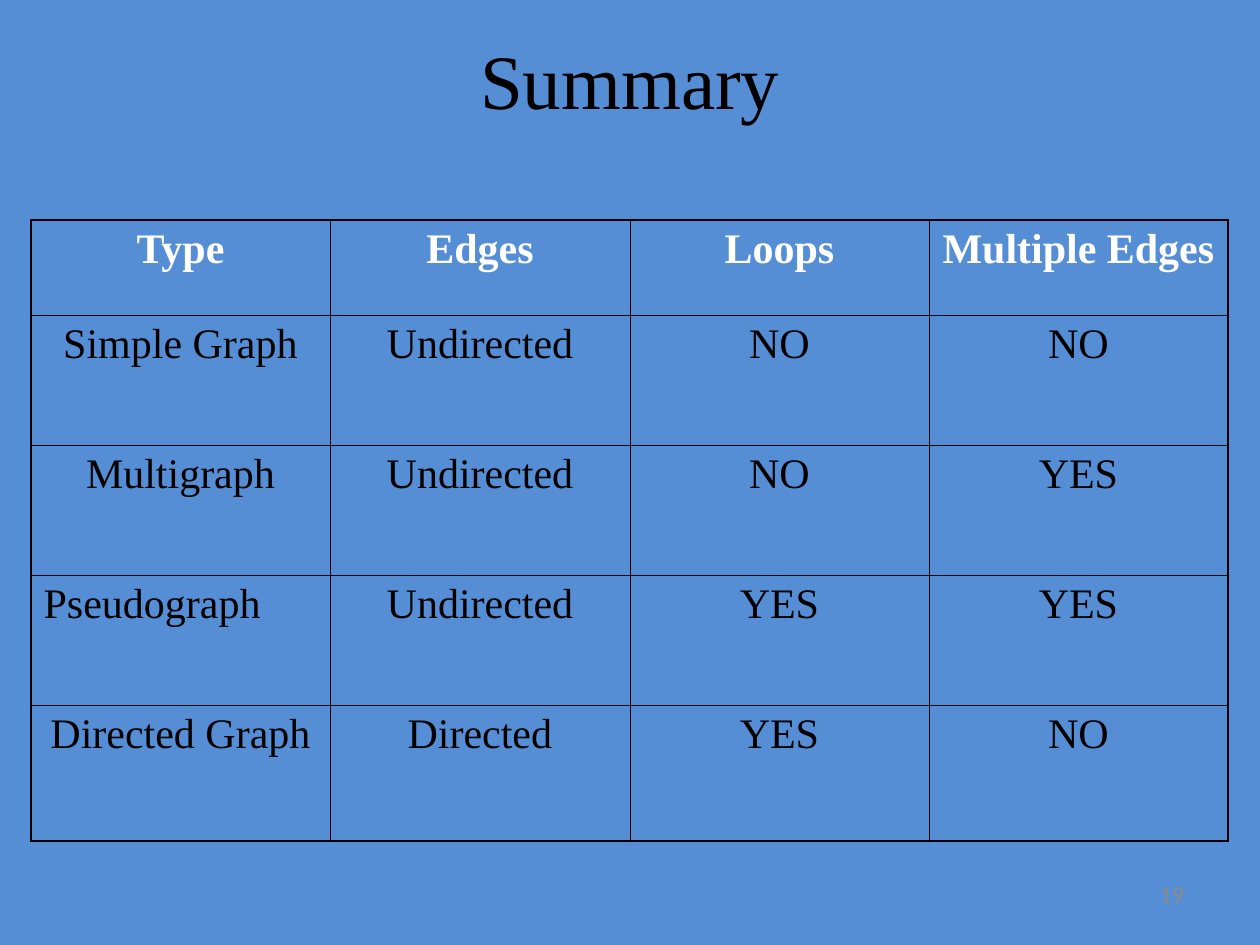
"""Build the summary slide that compares graph types in a bordered table."""
from dataclasses import dataclass

from lxml.etree import SubElement
from pptx import Presentation
from pptx.dml.color import RGBColor
from pptx.enum.text import MSO_ANCHOR as Anchor, PP_ALIGN as Align
from pptx.oxml.ns import qn
from pptx.util import Inches, Pt

EMU_PER_PX = Inches(1) / 126
BLUE = RGBColor(0x55, 0x8E, 0xD5)
BLACK = RGBColor(0, 0, 0)
WHITE = RGBColor(0xFF, 0xFF, 0xFF)
GREY = RGBColor(0x8B, 0x8B, 0x8B)
SERIF = "Times New Roman"
SANS = "Calibri"
THIN, THICK = 0.45, 1.08
COLUMNS = (299, 300, 299, 299)
ROWS = (95, 130, 130, 130, 136)


@dataclass(frozen=True)
class Style:
    size: int
    color: RGBColor = BLACK
    font: str = SERIF
    bold: bool = False
    align: Align = Align.CENTER


@dataclass(frozen=True)
class Label:
    text: str
    x: int
    y: int
    w: int
    h: int
    style: Style


@dataclass(frozen=True)
class GraphType:
    name: str
    edges: str
    loops: str
    multiple: str
    name_align: Align = Align.CENTER


LABELS = (
    Label("Summary", 63, 21, 1134, 116, Style(44)),
    Label("19", 903, 869, 294, 50, Style(14, GREY, SANS, align=Align.RIGHT)),
)
HEADINGS = GraphType("Type", "Edges", "Loops", "Multiple Edges")
GRAPHS = (
    GraphType("Simple Graph", "Undirected", "NO", "NO"),
    GraphType("Multigraph", "Undirected", "NO", "YES"),
    GraphType("Pseudograph", "Undirected", "YES", "YES", Align.LEFT),
    GraphType("Directed Graph", "Directed", "YES", "NO"),
)


def px(n: int) -> int:
    """Turn pixels into EMU."""
    return round(n * EMU_PER_PX)


def write(tf, text: str, style: Style) -> None:
    """Write one styled run into a text frame."""
    p = tf.paragraphs[0]
    p.alignment = style.align
    r = p.add_run()
    r.text = text
    r.font.name = style.font
    r.font.size = Pt(style.size)
    r.font.bold = style.bold
    r.font.color.rgb = style.color


def add_label(slide, label: Label) -> None:
    """Add a vertically centred text box."""
    box = slide.shapes.add_textbox(px(label.x), px(label.y), px(label.w), px(label.h))
    tf = box.text_frame
    tf.word_wrap = True
    tf.vertical_anchor = Anchor.MIDDLE
    write(tf, label.text, label.style)


def set_borders(cell, row: int, col: int) -> None:
    """Draw cell borders, thicker along the outside of the table."""
    outer = {
        "a:lnL": col == 0,
        "a:lnR": col == len(COLUMNS) - 1,
        "a:lnT": row == 0,
        "a:lnB": row == len(ROWS) - 1,
    }
    tc_pr = cell._tc.get_or_add_tcPr()
    for i, (tag, is_outer) in enumerate(outer.items()):
        ln = SubElement(tc_pr, qn(tag), w=str(Pt(THICK if is_outer else THIN)))
        fill = SubElement(ln, qn("a:solidFill"))
        SubElement(fill, qn("a:srgbClr"), val=str(BLACK))
        tc_pr.insert(i, ln)


def add_graph_table(slide) -> None:
    """Add the table of graph types."""
    frame = slide.shapes.add_table(
        len(ROWS), len(COLUMNS), px(31), px(220), px(sum(COLUMNS)), px(sum(ROWS)))
    table = frame.table
    table.horz_banding = False
    for column, width in zip(table.columns, COLUMNS):
        column.width = px(width)
    for row, height in zip(table.rows, ROWS):
        row.height = px(height)
    for i, graph in enumerate((HEADINGS, *GRAPHS)):
        texts = (graph.name, graph.edges, graph.loops, graph.multiple)
        for j, text in enumerate(texts):
            cell = table.cell(i, j)
            cell.fill.background()
            set_borders(cell, i, j)
            align = graph.name_align if j == 0 else Align.CENTER
            color = WHITE if i == 0 else BLACK
            write(cell.text_frame, text, Style(24, color, bold=i == 0, align=align))


def main() -> None:
    """Build and save the slide."""
    prs = Presentation()
    prs.slide_width, prs.slide_height = px(1260), px(945)
    s = prs.slides.add_slide(prs.slide_layouts[6])
    s.background.fill.solid()
    s.background.fill.fore_color.rgb = BLUE
    add_graph_table(s)
    for label in LABELS:
        add_label(s, label)
    prs.save("out.pptx")


if __name__ == "__main__":
    main()
